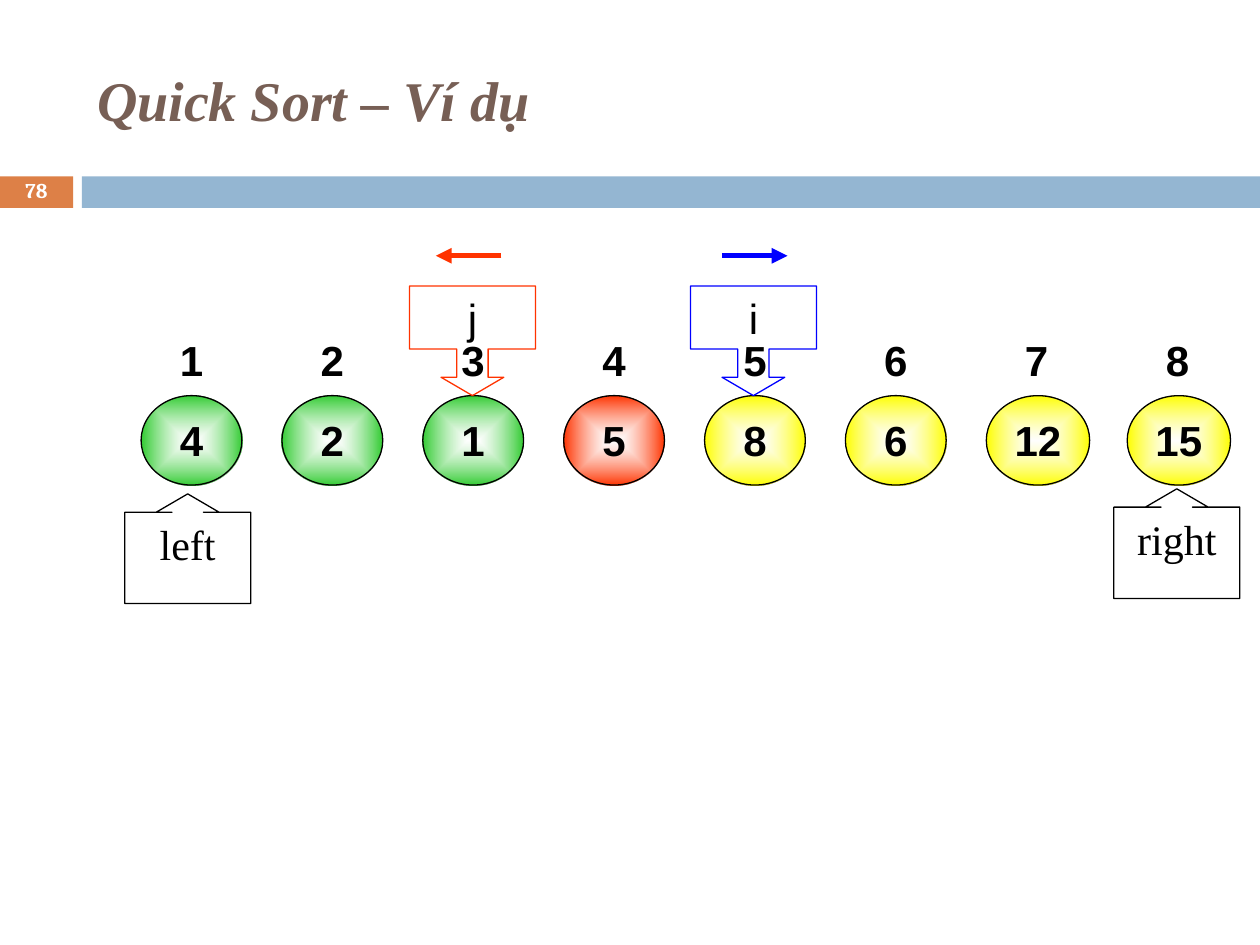
import pptx
import pptx.util
import pptx.dml.color
import pptx.oxml
import pptx.oxml.ns
import pptx.enum.shapes
import pptx.enum.text

Inches = pptx.util.Inches
Pt = pptx.util.Pt
MSO_SHAPE = pptx.enum.shapes.MSO_SHAPE
PP_ALIGN = pptx.enum.text.PP_ALIGN
MSO_ANCHOR = pptx.enum.text.MSO_ANCHOR
qn = pptx.oxml.ns.qn

GREEN, RED, YELLOW, BLUE, BLACK = "33CC33", "FF3300", "FFFF00", "0000FF", "000000"
CELLS = [("4", GREEN), ("2", GREEN), ("1", GREEN), ("5", RED),
         ("8", YELLOW), ("6", YELLOW), ("12", YELLOW), ("15", YELLOW)]
FIRST_X, STEP = 1.12, 1.118


def rgb(value):
    return pptx.dml.color.RGBColor.from_string(value)


def xml(tag, attrs="", body=""):
    return pptx.oxml.parse_xml(
        f'<a:{tag} {pptx.oxml.ns.nsdecls("a")} {attrs}>{body}</a:{tag}>')


def set_text(sp, text, font="Arial", size=24, color=BLACK, bold=False, italic=False,
             align=PP_ALIGN.CENTER, anchor=MSO_ANCHOR.TOP, spacing=None, wrap=True):
    tf = sp.text_frame
    tf.word_wrap = wrap
    tf.vertical_anchor = anchor
    p = tf.paragraphs[0]
    p.alignment = align
    p.line_spacing = spacing
    r = p.add_run()
    r.text = text
    r.font.name = font
    r.font.size = Pt(size)
    r.font.bold = bold
    r.font.italic = italic
    r.font.color.rgb = rgb(color)


class Deck:
    serif = "Times New Roman"
    outline = 0.75

    def __init__(self):
        self.prs = pptx.Presentation()
        self.prs.slide_width = Inches(10)
        self.prs.slide_height = Inches(7.5)
        self.s = self.prs.slides.add_slide(self.prs.slide_layouts[5])

    def group(self):
        return self.s.shapes.add_group_shape().shapes

    def title(self, text, x, y, w, h):
        sp = self.s.shapes.title
        sp.left, sp.top, sp.width, sp.height = map(Inches, (x, y, w, h))
        set_text(sp, text, font=self.serif, size=32, color="775F55", bold=True,
                 italic=True, align=PP_ALIGN.LEFT, anchor=MSO_ANCHOR.MIDDLE)

    def shape(self, shapes, kind, x, y, w, h, fill=None, line=None):
        sp = shapes.add_shape(kind, *map(Inches, (x, y, w, h)))
        sp.shadow.inherit = False
        if fill:
            sp.fill.solid()
            sp.fill.fore_color.rgb = rgb(fill)
        else:
            sp.fill.background()
        if line:
            sp.line.color.rgb = rgb(line)
            sp.line.width = Pt(self.outline)
        else:
            sp.line.fill.background()
        return sp

    def bar(self, x, w, color):
        self.shape(self.s.shapes, MSO_SHAPE.RECTANGLE, x, 1.4, w, 0.25, fill=color)

    def page_number(self, text, x, y, w, h):
        sp = self.s.shapes.add_textbox(*map(Inches, (x, y, w, h)))
        set_text(sp, text, font="Cambria", size=12, color="FFFFFF", bold=True,
                 anchor=MSO_ANCHOR.MIDDLE, spacing=0.8)

    def ball(self, text, color, x):
        w = 0.82 if len(text) > 1 else 0.8
        sp = self.shape(self.s.shapes, MSO_SHAPE.OVAL, x, 3.14, w, 0.71, line=BLACK)
        stops = ('<a:gs pos="0"><a:srgbClr val="FFFFFF"><a:alpha val="60000"/></a:srgbClr></a:gs>'
                 f'<a:gs pos="100000"><a:srgbClr val="{color}"/></a:gs>')
        center = '<a:fillToRect l="50000" t="50000" r="50000" b="50000"/>'
        grad = xml("gradFill", 'rotWithShape="1"',
                   f'<a:gsLst>{stops}</a:gsLst><a:path path="rect">{center}</a:path>')
        sp_pr = sp.element.spPr
        sp_pr.replace(sp_pr.find(qn("a:noFill")), grad)
        set_text(sp, text, bold=True, wrap=False)

    def index(self, shapes, text, x):
        sp = self.shape(shapes, MSO_SHAPE.OVAL, x, 2.5, 0.8, 0.71)
        set_text(sp, text, bold=True, wrap=False)

    def callout(self, shapes, kind, text, x, y, color, box, font):
        sp = self.shape(shapes, kind, x, y, 1, 0.87, line=color)
        for i, value in enumerate((0.286, 0.286, 0.167, box)):
            sp.adjustments[i] = value
        set_text(sp, text, font=font)

    def bound(self, text, x, y):
        self.callout(self.s.shapes, MSO_SHAPE.UP_ARROW_CALLOUT, text, x, y,
                     BLACK, 0.851, self.serif)

    def pointer(self, text, x, color, start, end):
        shapes = self.group()
        self.callout(shapes, MSO_SHAPE.DOWN_ARROW_CALLOUT, text, x, 2.27,
                     color, 0.575, "Arial")
        self.arrow(shapes, start, end, 2.03, color)

    def arrow(self, shapes, start, end, y, color):
        cxn = shapes.add_connector(pptx.enum.shapes.MSO_CONNECTOR.STRAIGHT,
                                   *map(Inches, (start, y, end, y)))
        cxn.line.color.rgb = rgb(color)
        cxn.line.width = Pt(3)
        cxn.line._get_or_add_ln().append(xml("tailEnd", 'type="triangle"'))
        cxn._element.spPr.append(xml("effectLst"))


def main():
    deck = Deck()
    deck.bar(0, 0.58, "DD8047")
    deck.bar(0.65, 9.35, "94B6D2")
    deck.title("Quick Sort – Ví dụ", 0.67, 0.25, 8.92, 1.08)
    deck.page_number("78", 0, 1.39, 0.58, 0.27)
    for i, (value, color) in enumerate(CELLS):
        deck.ball(value, color, FIRST_X + i * STEP)
    indices = deck.group()
    for i in range(len(CELLS)):
        deck.index(indices, str(i + 1), FIRST_X + i * STEP)
    deck.bound("left", 0.99, 3.92)
    deck.bound("right", 8.84, 3.88)
    deck.pointer("i", 5.48, BLUE, 5.73, 6.25)
    deck.pointer("j", 3.25, RED, 3.98, 3.46)
    deck.prs.save("out.pptx")


if __name__ == "__main__":
    main()
